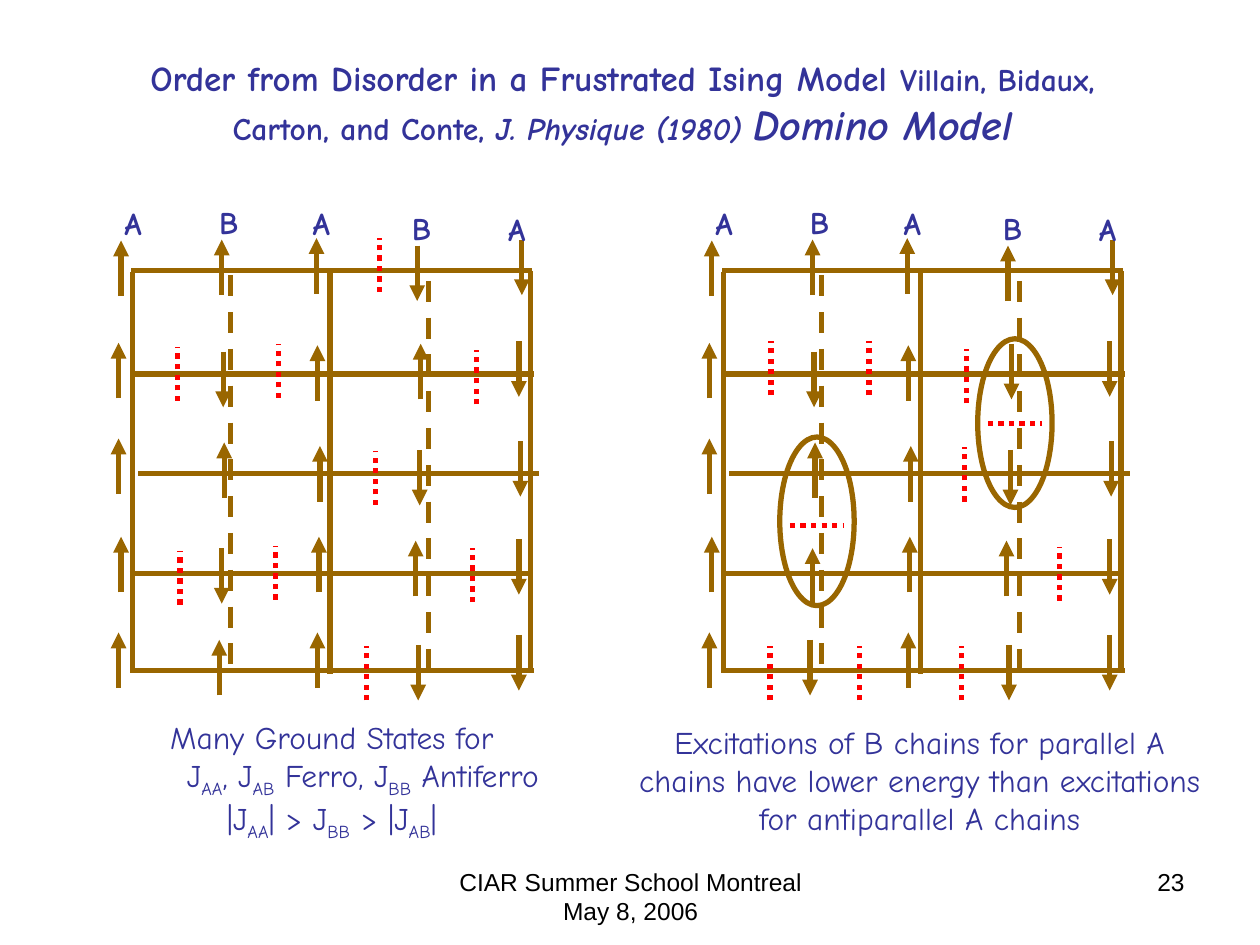
from dataclasses import dataclass
from typing import Any, NamedTuple

from lxml import etree
from pptx import Presentation
from pptx.dml.color import RGBColor
from pptx.enum.dml import MSO_LINE
from pptx.enum.shapes import MSO_CONNECTOR, MSO_SHAPE
from pptx.enum.text import PP_ALIGN
from pptx.oxml.ns import qn
from pptx.util import Cm, Pt

STRAIGHT = MSO_CONNECTOR.STRAIGHT
ELLIPSE = MSO_SHAPE.OVAL
DASH = MSO_LINE.DASH
DOT = MSO_LINE.ROUND_DOT
CENTER = PP_ALIGN.CENTER
RIGHT = PP_ALIGN.RIGHT

NAVY = "333399"
BROWN = "996600"
RED = "FF0000"
BLACK = "000000"
COMIC = "Comic Neue"

RAIL_LENGTH = 8.08
SPIN_LENGTH = 1.12
BOND_LENGTH = 1.09
LINE_WIDTH = 3


class Point(NamedTuple):
    x: float
    y: float


class Box(NamedTuple):
    left: float
    top: float
    width: float
    height: float


@dataclass
class Lattice:
    offset: float
    spins: list[str]
    broken_bonds: list[Point]


@dataclass
class Excitation:
    ring: Box
    bond_y: float


ROWS = [Point(2.65, 5.46), Point(2.69, 7.54), Point(2.79, 9.55),
        Point(2.62, 11.56), Point(2.69, 13.52)]
A_CHAINS = [Point(2.67, 5.49), Point(6.65, 5.51), Point(10.69, 5.46)]
B_CHAINS = [Point(4.65, 5.55), Point(8.64, 5.66)]
SPIN_COLUMNS = [
    [Point(2.44, 4.85), Point(2.39, 6.91), Point(2.39, 8.84), Point(2.44, 10.82), Point(2.39, 12.75)],
    [Point(4.47, 4.83), Point(4.5, 7.09), Point(4.52, 8.92), Point(4.47, 11.05), Point(4.42, 12.9)],
    [Point(6.38, 4.8), Point(6.4, 6.96), Point(6.45, 8.99), Point(6.43, 10.82), Point(6.4, 12.75)],
    [Point(8.41, 4.95), Point(8.48, 6.93), Point(8.46, 9.07), Point(8.38, 10.9), Point(8.43, 13)],
    [Point(10.52, 4.83), Point(10.46, 6.88), Point(10.49, 8.89), Point(10.46, 10.87), Point(10.46, 12.8)],
]
CHAIN_LABELS = [
    ("A", Box(2.24, 3.99, 0.89, 1.02)),
    ("B", Box(4.14, 3.96, 0.94, 1.02)),
    ("A", Box(5.97, 3.99, 1.02, 1.02)),
    ("B", Box(8.03, 4.09, 0.94, 1.02)),
    ("A", Box(9.91, 4.1, 1.02, 1.02)),
]
LATTICES = [
    Lattice(0, ["UUUUU", "UDUDU", "UUUUU", "DUDUD", "DDDDD"],
            [Point(5.61, 6.93), Point(3.58, 6.99), Point(7.65, 4.8),
             Point(7.57, 9.09), Point(9.53, 11.05), Point(9.6, 7.06),
             Point(3.63, 11.1), Point(5.56, 11), Point(7.39, 13.03)]),
    Lattice(11.91, ["UUUUU", "UDUUD", "UUUUU", "UDDUD", "DDDDD"],
            [Point(5.41, 13.03), Point(3.61, 13.03), Point(5.61, 6.88),
             Point(3.63, 6.88), Point(7.57, 7.04), Point(7.54, 9.02),
             Point(9.45, 11.02), Point(7.47, 13.03)]),
]
EXCITATIONS = [
    Excitation(Box(15.72, 8.81, 1.5, 3.4), 10.59),
    Excitation(Box(19.71, 6.83, 1.5, 3.4), 8.53),
]


def colour(value: str) -> RGBColor:
    return RGBColor.from_string(value)


def add_line(slide: Any, start: Point, end: Point, line_colour: str = BROWN,
             dash: Any = None, arrow: bool = False) -> None:
    connector = slide.shapes.add_connector(
        STRAIGHT, Cm(start.x), Cm(start.y), Cm(end.x), Cm(end.y))
    connector.line.color.rgb = colour(line_colour)
    connector.line.width = Pt(LINE_WIDTH)
    if dash is not None:
        connector.line.dash_style = dash
    properties = connector.element.spPr
    if arrow:
        etree.SubElement(properties.find(qn("a:ln")), qn("a:tailEnd"), type="triangle")
    etree.SubElement(properties, qn("a:effectLst"))


def add_text_frame(slide: Any, box: Box) -> Any:
    shape = slide.shapes.add_textbox(*(Cm(length) for length in box))
    shape.text_frame.word_wrap = True
    return shape.text_frame


def add_run(paragraph: Any, text: str, *, size: float = 18, font: str = COMIC,
            text_colour: str = NAVY, bold: bool = False, italic: bool = False,
            subscript: bool = False, align: Any = CENTER) -> None:
    paragraph.alignment = align
    run = paragraph.add_run()
    run.text = text
    run.font.size = Pt(size)
    run.font.name = font
    run.font.bold = bold
    run.font.italic = italic
    run.font.color.rgb = colour(text_colour)
    if subscript:
        run.font._element.set("baseline", "-25000")


def add_text(slide: Any, box: Box, text: str, **text_format: Any) -> None:
    add_run(add_text_frame(slide, box).paragraphs[0], text, **text_format)


def draw_lattice(slide: Any, lattice: Lattice) -> None:
    def shift(point: Point, right: float = 0, down: float = 0) -> Point:
        return Point(point.x + lattice.offset + right, point.y + down)

    for start in ROWS:
        add_line(slide, shift(start), shift(start, right=RAIL_LENGTH))
    for chains, dash in ((A_CHAINS, None), (B_CHAINS, DASH)):
        for start in chains:
            add_line(slide, shift(start), shift(start, down=RAIL_LENGTH), dash=dash)
    for column, directions in zip(SPIN_COLUMNS, lattice.spins):
        for top, direction in zip(column, directions):
            ends = [shift(top), shift(top, down=SPIN_LENGTH)]
            if direction == "U":
                ends.reverse()
            add_line(slide, *ends, arrow=True)
    for label, box in CHAIN_LABELS:
        add_text(slide, box._replace(left=box.left + lattice.offset), label, bold=True)
    for top in lattice.broken_bonds:
        add_line(slide, shift(top, down=BOND_LENGTH), shift(top), RED, DOT)


def draw_excitation(slide: Any, excitation: Excitation) -> None:
    ring = excitation.ring
    shape = slide.shapes.add_shape(ELLIPSE, *(Cm(length) for length in ring))
    shape.shadow.inherit = False
    shape.fill.background()
    shape.line.color.rgb = colour(BROWN)
    shape.line.width = Pt(LINE_WIDTH)
    start = Point(ring.left + (ring.width - BOND_LENGTH) / 2, excitation.bond_y)
    add_line(slide, start, start._replace(x=start.x + BOND_LENGTH), RED, DOT)


def draw_title(slide: Any) -> None:
    paragraph = add_text_frame(slide, Box(2.62, 1.02, 19.86, 2.13)).paragraphs[0]
    add_run(paragraph, "Order from Disorder in a Frustrated Ising Model ", size=20, bold=True)
    add_run(paragraph, "Villain, Bidaux, Carton, and Conte, ", bold=True)
    add_run(paragraph, "J. Physique (1980) ", bold=True, italic=True)
    add_run(paragraph, "Domino Model", size=24, bold=True, italic=True)


def draw_ground_state_caption(slide: Any) -> None:
    frame = add_text_frame(slide, Box(2.03, 14.35, 9.32, 2.74))
    lines = ["Many Ground States for",
             "J_AA_, J_AB_ Ferro, J_BB_ Antiferro",
             "|J_AA_| > J_BB_ > |J_AB_|"]
    for index, line in enumerate(lines):
        paragraph = frame.add_paragraph() if index else frame.paragraphs[0]
        if index == 1:
            paragraph._p.get_or_add_pPr().set("marL", str(Cm(1.25)))
        for position, text in enumerate(line.split("_")):
            add_run(paragraph, text, subscript=position % 2 == 1)


def main() -> None:
    presentation = Presentation()
    presentation.slide_width = Cm(25.4)
    presentation.slide_height = Cm(19.05)
    slide = presentation.slides.add_slide(presentation.slide_layouts[6])
    draw_title(slide)
    for lattice in LATTICES:
        draw_lattice(slide, lattice)
    for excitation in EXCITATIONS:
        draw_excitation(slide, excitation)
    draw_ground_state_caption(slide)
    add_text(slide, Box(12.62, 14.45, 11.84, 2.54),
             "Excitations of B chains for parallel A chains have lower energy "
             "than excitations for antiparallel A chains")
    footer_format = {"size": 14, "font": "Arial", "text_colour": BLACK}
    add_text(slide, Box(8.69, 17.35, 8.05, 1.32),
             "CIAR Summer School Montreal May 8, 2006", **footer_format)
    add_text(slide, Box(18.21, 17.35, 5.92, 1.32), "23", align=RIGHT, **footer_format)
    presentation.save("out.pptx")


if __name__ == "__main__":
    main()
